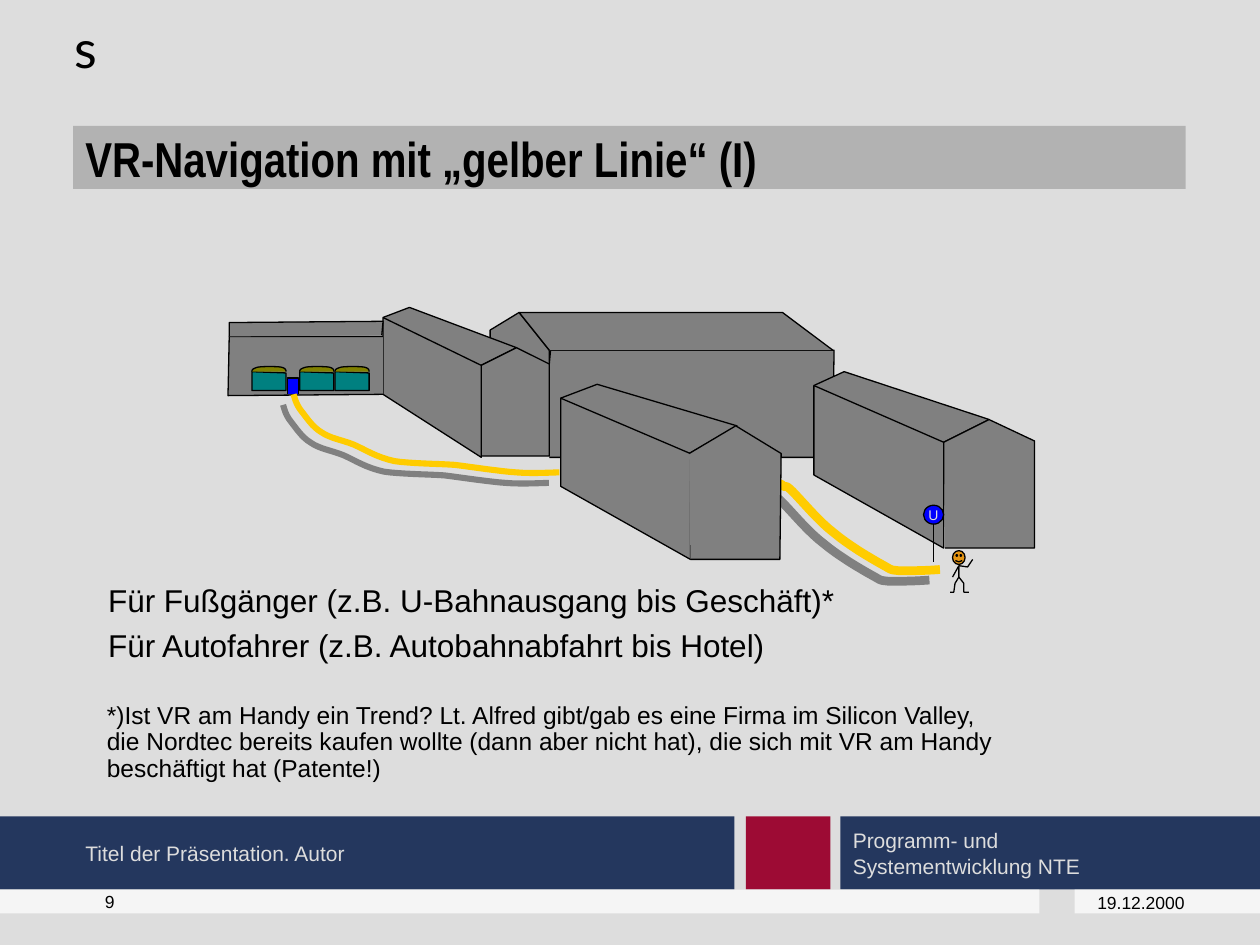
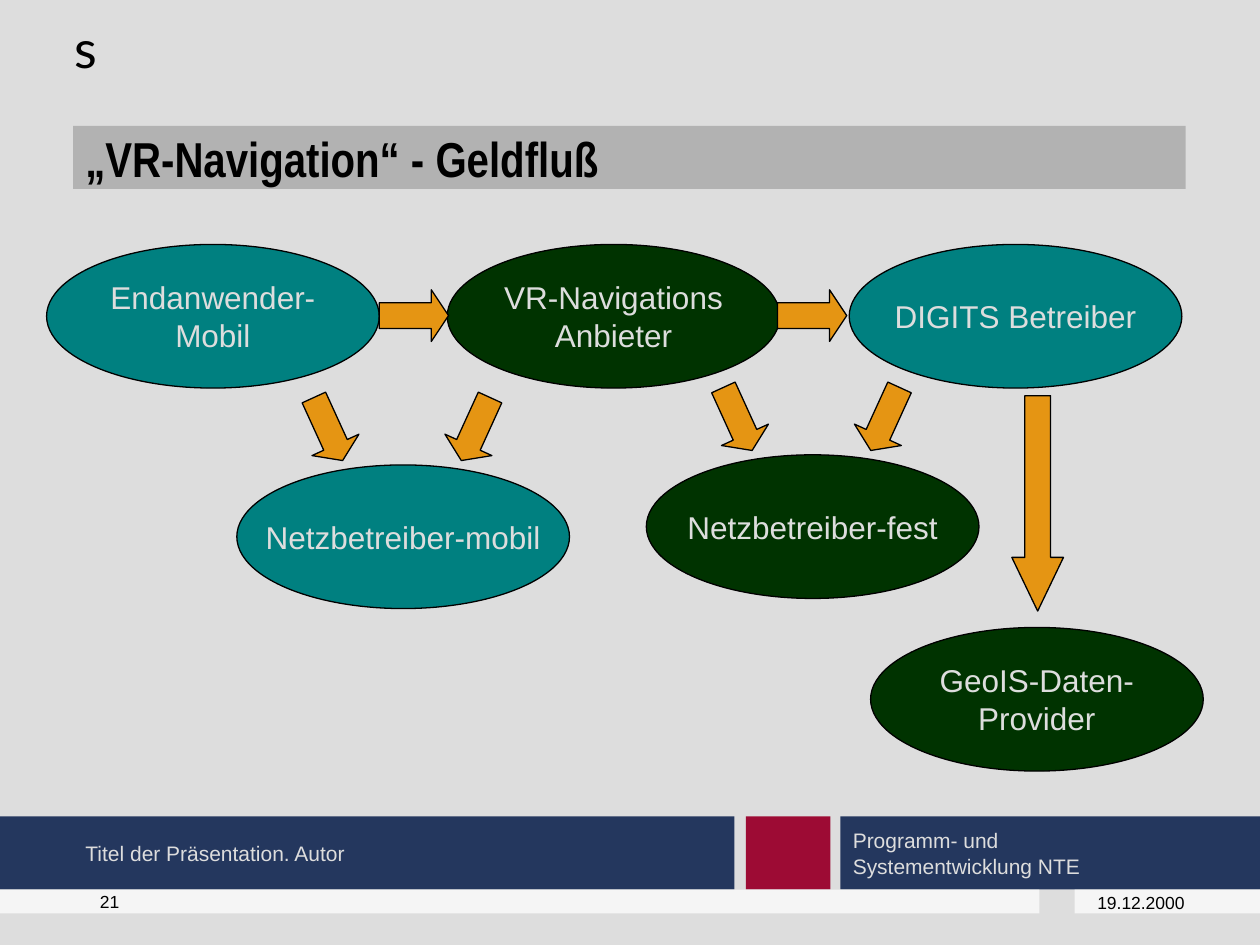
from lxml import etree
from pptx import Presentation
from pptx.dml.color import RGBColor
from pptx.enum import shapes as kinds, text as txt
from pptx.oxml import ns
from pptx.util import Inches, Pt

BACKDROP = RGBColor(0xDD, 0xDD, 0xDD)
NAVY = RGBColor(0x24, 0x37, 0x5E)
CRIMSON = RGBColor(0x9D, 0x0B, 0x34)
PALE = RGBColor(0xF5, 0xF5, 0xF5)
TITLE_GREY = RGBColor(0xB2, 0xB2, 0xB2)
WALL_GREY = RGBColor(0x80, 0x80, 0x80)
BLACK = RGBColor(0, 0, 0)
YELLOW = RGBColor(0xFF, 0xCC, 0x00)
ORANGE = RGBColor(0xE5, 0x95, 0x13)
BLUE = RGBColor(0, 0, 0xFF)
TEAL = RGBColor(0, 0x80, 0x80)
OLIVE = RGBColor(0x80, 0x80, 0)
GREEN = RGBColor(0, 0x33, 0)

SHAPE = kinds.MSO_SHAPE
CENTER = txt.PP_ALIGN.CENTER
LEFT = txt.PP_ALIGN.LEFT
TOP = txt.MSO_ANCHOR.TOP
MIDDLE = txt.MSO_ANCHOR.MIDDLE

BODY = dict(size=Pt(18), name="Arial")
TITLE = dict(size=Pt(28), name="Arial Narrow", bold=True)
MARK = dict(size=Pt(30), name="Lato")
FOOTNOTE = dict(size=Pt(14), name="Arial")
FOOTER = dict(size=Pt(12), name="Arial")
SMALL = dict(size=Pt(10), name="Arial")
SIGN = dict(size=Pt(8), name="Arial")

BANDS = [
    ((5.92, 6.48, 0.67, 0.58), CRIMSON),
    ((0, 6.48, 5.83, 0.58), NAVY),
    ((6.67, 6.48, 3.33, 0.58), NAVY),
    ((0, 7.06, 8.25, 0.19), PALE),
    ((8.53, 7.06, 1.47, 0.19), PALE),
]
DEPARTMENT = ["Programm- und", "Systementwicklung NTE"]
FOOTER_TITLE = "Titel der Präsentation. Autor"
DATE = "19.12.2000"

USES = ["Für Fußgänger (z.B. U-Bahnausgang bis Geschäft)*",
        "Für Autofahrer (z.B. Autobahnabfahrt bis Hotel)"]
TREND_NOTE = [
    "*)Ist VR am Handy ein Trend? Lt. Alfred gibt/gab es eine Firma im Silicon Valley,",
    "die Nordtec bereits kaufen wollte (dann aber nicht hat), die sich mit VR am Handy",
    "beschäftigt hat (Patente!)",
]

NEAR_ROUTE = [
    (7.46, 4.52), (7.33, 4.53), (7.21, 4.53), (7.14, 4.53),
    (7.06, 4.52), (7.09, 4.53), (7, 4.48), (6.91, 4.43), (6.74, 4.33), (6.62, 4.23),
    (6.5, 4.14), (6.36, 3.97), (6.29, 3.9), (6.23, 3.84), (6.24, 3.87), (6.22, 3.86),
    (6.21, 3.85), (6.2, 3.84), (6.19, 3.84),
]
FAR_ROUTE = [
    (4.44, 3.75), (4.38, 3.75), (4.23, 3.76), (4.1, 3.75),
    (3.96, 3.74), (3.77, 3.71), (3.61, 3.69), (3.45, 3.68), (3.26, 3.68), (3.13, 3.66),
    (2.99, 3.63), (2.9, 3.57), (2.81, 3.53), (2.71, 3.49), (2.62, 3.48), (2.55, 3.43),
    (2.48, 3.39), (2.43, 3.31), (2.39, 3.26), (2.35, 3.21), (2.34, 3.16), (2.33, 3.13),
]
WALLS_AND_ROOFS = [
    [(4.36, 3.63), (6.61, 3.63), (6.62, 2.78), (4.37, 2.78), (4.36, 2.89)],
    [(7.49, 3.51), (7.85, 3.33), (6.7, 2.95), (6.46, 3.06)],
    [(7.49, 3.51), (7.85, 3.33), (8.21, 3.5), (8.21, 4.35), (7.5, 4.35)],
    [(6.46, 3.06), (7.49, 3.51), (7.49, 4.35), (6.46, 3.77), (6.46, 3.06)],
    [(5.47, 3.6), (5.85, 3.38), (4.74, 3.05), (4.45, 3.16)],
    [(4.45, 3.16), (5.48, 3.6), (5.48, 4.44), (4.45, 3.86), (4.45, 3.16)],
    [(4.36, 2.9), (4.36, 2.78), (4.12, 2.48), (3.89, 2.62), (3.89, 2.71)],
    [(4.36, 2.78), (4.12, 2.48), (6.21, 2.48), (6.61, 2.78)],
    [(3.82, 2.9), (4.1, 2.76), (3.25, 2.44), (3.04, 2.52)],
    [(3.82, 2.9), (4.1, 2.76), (4.36, 2.89), (4.36, 3.62), (3.82, 3.62)],
    [(3.04, 2.52), (3.82, 2.9), (3.82, 3.63), (3.04, 3.13), (3.04, 2.52)],
    [(3.04, 2.67), (1.82, 2.67), (1.81, 3.14), (3.04, 3.13)],
    [(3.03, 2.66), (3.04, 2.55), (1.82, 2.56), (1.82, 2.67)],
    [(5.47, 3.6), (5.84, 3.38), (6.2, 3.6), (6.19, 4.44), (5.48, 4.44)],
]
DOOR = [(2.28, 3.13), (2.28, 3), (2.37, 3), (2.37, 3.13)]
WINDOW_LEFTS = [2, 2.38, 2.66]
WINDOW = [(0, 2.95), (0, 3.1), (0.27, 3.1), (0.27, 2.96), (0, 2.95)]
AWNING = [(0, 2.95), (0, 2.94), (0, 2.93), (0.03, 2.92), (0.05, 2.91), (0.1, 2.91), (0.14, 2.91),
          (0.18, 2.91), (0.23, 2.91), (0.25, 2.92), (0.27, 2.93), (0.27, 2.94), (0.27, 2.95)]
SIGN_POST = [(7.41, 4.46), (7.41, 4.14)]
LEFT_ARM = [(7.61, 4.49), (7.56, 4.58)]
LIMBS = [
    [(7.61, 4.49), (7.61, 4.58), (7.65, 4.63), (7.65, 4.7), (7.69, 4.7)],
    [(7.61, 4.49), (7.61, 4.58), (7.58, 4.63), (7.57, 4.7), (7.54, 4.7)],
    [(7.61, 4.49), (7.68, 4.5), (7.72, 4.44)],
]

PARTY_SIZE = (2.64, 1.14)
PARTIES = [
    (["VR-Navigations", "Anbieter"], (3.55, 1.94), GREEN),
    (["DIGITS Betreiber"], (6.74, 1.94), TEAL),
    (["GeoIS-Daten-", "Provider"], (6.91, 4.98), GREEN),
    (["Endanwender-", "Mobil"], (0.37, 1.94), TEAL),
]
NETWORKS = [
    (["Netzbetreiber-fest"], (5.13, 3.61), GREEN),
    (["Netzbetreiber-mobil"], (1.88, 3.69), TEAL),
]
DIRECT_FLOWS = [
    ((3.01, 2.3, 0.55, 0.41), 0, 0.333),
    ((6.17, 2.3, 0.55, 0.41), 0, 0.333),
    ((7.38, 3.79, 1.71, 0.41), 90, 1.04),
]
INFLOWS = [(0.45, 65.5), (1.62, 114.5)]
INFLOW_RISE = 0.49


def write(shape, lines, format_values, color, align=LEFT, anchor=MIDDLE, wrap=True,
          margin=0.05, spacing=None):
    frame = shape.text_frame
    layout = dict(word_wrap=wrap, vertical_anchor=anchor, margin_left=Inches(0.1),
                  margin_right=Inches(0.1), margin_top=Inches(margin),
                  margin_bottom=Inches(margin))
    for key, value in layout.items():
        setattr(frame, key, value)
    frame.text = "\n".join(lines)
    for line in frame.paragraphs:
        line.alignment = align
        line.line_spacing = spacing
        for run in line.runs:
            for key, value in format_values.items():
                setattr(run.font, key, value)
            run.font.color.rgb = color


def label(slide, box, lines, format_values, color=BLACK, **options):
    write(slide.shapes.add_textbox(*map(Inches, box)), lines, format_values, color, **options)


def paint(shape, fill=None, line=None, width=0.75):
    shape.shadow.inherit = False
    for part, color in ((shape.fill, fill), (shape.line.fill, line)):
        if color is None:
            part.background()
        else:
            part.solid()
            part.fore_color.rgb = color
    if line is not None:
        shape.line.width = Pt(width)
    return shape


def preset(slide, kind, box, fill, line=None):
    return paint(slide.shapes.add_shape(kind, *map(Inches, box)), fill, line)


def outline(slide, points, fill=None, line=BLACK, width=0.75):
    corners = [(Inches(x), Inches(y)) for x, y in points]
    builder = slide.shapes.build_freeform(*corners[0], scale=1.0)
    builder.add_line_segments(corners[1:], close=points[0] == points[-1])
    return paint(builder.convert_to_shape(), fill, line, width)


def curve(controls, steps=8):
    points = [controls[0]]
    for first in range(0, len(controls) - 1, 3):
        bend = controls[first:first + 4]
        for step in range(1, steps + 1):
            t = step / steps
            weights = ((1 - t) ** 3, 3 * t * (1 - t) ** 2, 3 * t * t * (1 - t), t ** 3)
            points.append(tuple(sum(w * p[axis] for w, p in zip(weights, bend))
                                for axis in (0, 1)))
    return points


def route(slide, controls, width):
    effects = outline(slide, curve(controls), None, YELLOW, width)._element.spPr.find(
        ns.qn("a:effectLst"))
    cast = etree.SubElement(effects, ns.qn("a:outerShdw"), dist=str(Pt(8.5)), dir="8100000",
                            algn="ctr", rotWithShape="0")
    etree.SubElement(cast, ns.qn("a:srgbClr"), val=str(WALL_GREY))


def stroke(slide, ends):
    (x1, y1), (x2, y2) = ends
    line = slide.shapes.add_connector(kinds.MSO_CONNECTOR.STRAIGHT,
                                      *map(Inches, (x1, y1, x2, y2)))
    line.line.color.rgb = BLACK
    line.line.width = Pt(0.75)
    etree.SubElement(line._element.spPr, ns.qn("a:effectLst"))


def start_slide(deck, title, number):
    slide = deck.slides.add_slide(deck.slide_layouts[6])
    slide.background.fill.solid()
    slide.background.fill.fore_color.rgb = BACKDROP
    bands = [preset(slide, SHAPE.RECTANGLE, box, color) for box, color in BANDS]
    write(bands[2], DEPARTMENT, FOOTER, BACKDROP)
    label(slide, (0.49, 0.08, 1.42, 0.6), ["s"], MARK, anchor=TOP)
    heading = preset(slide, SHAPE.RECTANGLE, (0.58, 1, 8.83, 0.5), TITLE_GREY)
    write(heading, [title], TITLE, BLACK, margin=0)
    label(slide, (0.58, 6.48, 5.25, 0.58), [FOOTER_TITLE], FOOTER, BACKDROP)
    label(slide, (0.58, 7.06, 0.58, 0.19), [number], SMALL, align=CENTER)
    label(slide, (8.53, 7.08, 1.05, 0.17), [DATE], SMALL, align=CENTER)
    return slide


def yellow_line_slide(deck):
    slide = start_slide(deck, "VR-Navigation mit „gelber Linie“ (I)", "9")
    route(slide, NEAR_ROUTE, 5)
    for face in WALLS_AND_ROOFS:
        outline(slide, face, WALL_GREY)
    outline(slide, DOOR, BLUE)
    for left in WINDOW_LEFTS:
        for part, color in ((WINDOW, TEAL), (curve(AWNING), OLIVE)):
            outline(slide, [(left + x, y) for x, y in part], color)
    stroke(slide, SIGN_POST)
    station = preset(slide, SHAPE.OVAL, (7.33, 4.01, 0.16, 0.15), BLUE, BLACK)
    write(station, ["U"], SIGN, BACKDROP, align=CENTER, wrap=False)
    route(slide, FAR_ROUTE, 3.5)
    preset(slide, SHAPE.SMILEY_FACE, (7.56, 4.37, 0.1, 0.11), ORANGE, BLACK)
    for limb in LIMBS:
        outline(slide, limb)
    stroke(slide, LEFT_ARM)
    for row, use in enumerate(USES):
        label(slide, (0.76, 4.56 + 0.36 * row, 6.2, 0.4), [use], BODY, anchor=TOP)
    label(slide, (0.75, 5.53, 8.73, 0.97), TREND_NOTE, FOOTNOTE, anchor=TOP, spacing=0.9)


def flow(slide, box, turn, head):
    arrow = preset(slide, SHAPE.RIGHT_ARROW, box, ORANGE, BLACK)
    arrow.adjustments[0] = 0.5
    arrow.adjustments[1] = head
    arrow.rotation = turn


def money_flow_slide(deck):
    slide = start_slide(deck, "„VR-Navigation“ - Geldfluß", "21")
    for name, place, color in PARTIES + NETWORKS:
        party = preset(slide, SHAPE.OVAL, place + PARTY_SIZE, color, BLACK)
        write(party, name, BODY, BACKDROP, align=CENTER, wrap=False)
    for box, turn, head in DIRECT_FLOWS:
        flow(slide, box, turn, head)
    for _, (left, top), _ in NETWORKS:
        for shift, turn in INFLOWS:
            flow(slide, (left + shift, top - INFLOW_RISE, 0.55, 0.41), turn, 0.333)


def main():
    deck = Presentation()
    deck.slide_width, deck.slide_height = Inches(10), Inches(7.5)
    yellow_line_slide(deck)
    money_flow_slide(deck)
    deck.save("out.pptx")


if __name__ == "__main__":
    main()
